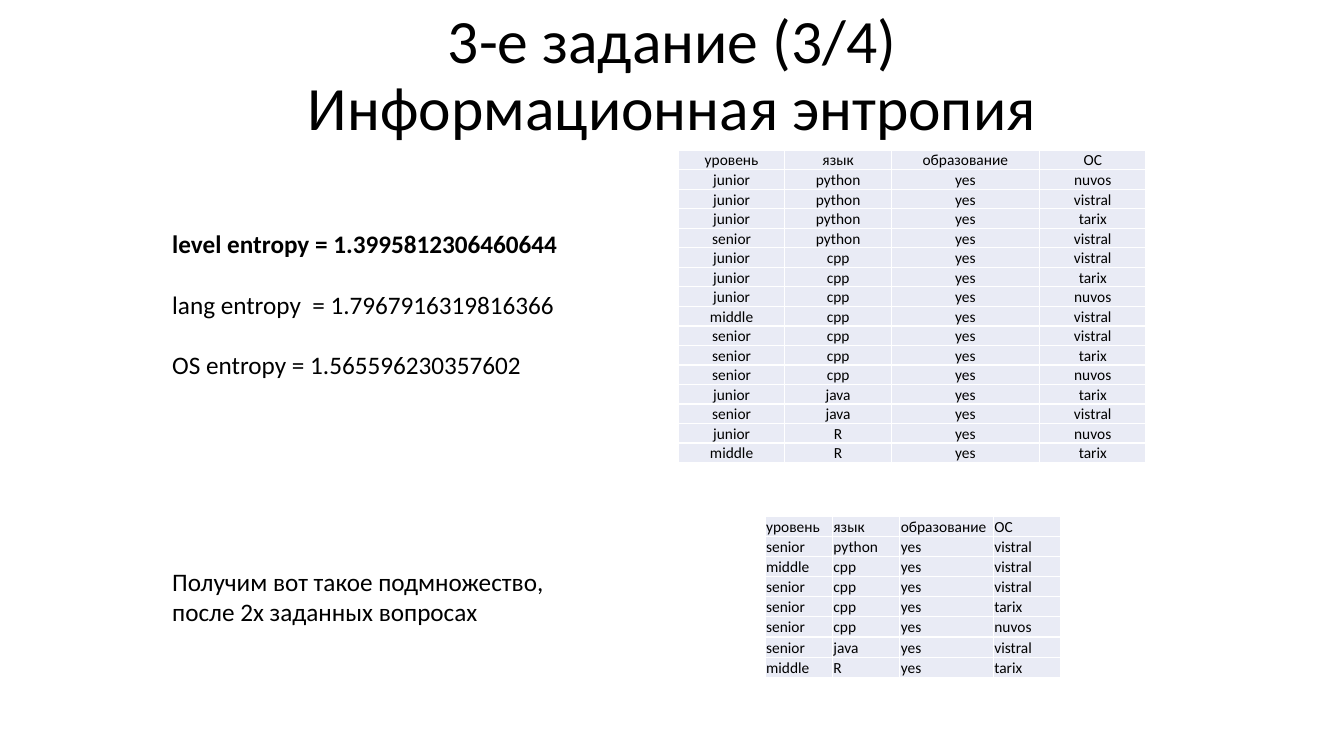
from dataclasses import dataclass

from lxml.etree import SubElement
from pptx import Presentation
from pptx.dml.color import RGBColor as RGB
from pptx.enum.text import MSO_ANCHOR as Anchor, MSO_AUTO_SIZE as Fit, PP_ALIGN as Align
from pptx.oxml.ns import qn
from pptx.slide import Slide
from pptx.table import _Cell as Cell
from pptx.util import Inches, Pt

WIDE, HIGH = Inches(13.33), Inches(7.5)
COLS, ROWS = 160, 90
FONT = "Calibri"
HEX = {"ink": "000000", "cell": "E9EBF5", "rule": "FFFFFF"}

HEAD = ("уровень", "язык", "образование", "ОС")
STAFF = [
    (level, lang, "yes", system)
    for level, lang, system in (
        ("junior", "python", "nuvos"),
        ("junior", "python", "vistral"),
        ("junior", "python", "tarix"),
        ("senior", "python", "vistral"),
        ("junior", "cpp", "vistral"),
        ("junior", "cpp", "tarix"),
        ("junior", "cpp", "nuvos"),
        ("middle", "cpp", "vistral"),
        ("senior", "cpp", "vistral"),
        ("senior", "cpp", "tarix"),
        ("senior", "cpp", "nuvos"),
        ("junior", "java", "tarix"),
        ("senior", "java", "vistral"),
        ("junior", "R", "nuvos"),
        ("middle", "R", "tarix"),
    )
]
SUBSET = [row for row in STAFF if row[0] != "junior"]


@dataclass
class Box:
    """Place on the slide in grid columns and rows."""
    col: float
    row: float
    wide: float
    high: float

    def place(self) -> tuple[int, int, int, int]:
        return across(self.col), down(self.row), across(self.wide), down(self.high)


@dataclass
class Note:
    box: Box
    lines: tuple[str, ...]
    size: int = 18
    align: Align = Align.LEFT
    anchor: Anchor = Anchor.TOP
    fit: Fit = Fit.SHAPE_TO_FIT_TEXT
    gap: float = 0
    pitch: float = 1.0
    strong: int | None = None


@dataclass
class Grid:
    box: Box
    widths: tuple[float, ...]
    rows: list[tuple[str, ...]]
    align: Align


NOTES = (
    Note(Box(11.04, 0.48, 138, 17.4), ("3-е задание (3/4)\vИнформационная энтропия",),
         size=44, align=Align.CENTER, anchor=Anchor.MIDDLE, fit=Fit.NONE, pitch=0.9),
    Note(Box(19.32, 26.64, 50.88, 19.44),
         ("level entropy = 1.3995812306460644",
          "lang entropy  = 1.7967916319816366",
          "OS entropy = 1.565596230357602"), gap=21.6, strong=0),
    Note(Box(19.32, 66.84, 51.72, 8.52),
         ("Получим вот такое подмножество, после 2х заданных вопросах",)),
)
GRIDS = (
    Grid(Box(80.76, 17.88, 55.68, 36.84), (12.68, 12.68, 17.64, 12.68),
         [HEAD, *STAFF], Align.CENTER),
    Grid(Box(91.08, 61.44, 35.2, 19.2), (8.02, 8.02, 11.14, 8.02),
         [HEAD, *SUBSET], Align.LEFT),
)


def across(cols: float) -> int:
    return round(WIDE * cols / COLS)


def down(rows: float) -> int:
    return round(HIGH * rows / ROWS)


def draw_note(slide: Slide, note: Note) -> None:
    frame = slide.shapes.add_textbox(*note.box.place()).text_frame
    frame.word_wrap = True
    frame.auto_size = note.fit
    frame.vertical_anchor = note.anchor
    for i, line in enumerate(note.lines):
        para = frame.add_paragraph() if i else frame.paragraphs[0]
        para.text = line
        para.alignment = note.align
        para.line_spacing = note.pitch
        para.space_before = Pt(note.gap if i else 0)
        para.font.name, para.font.size = FONT, Pt(note.size)
        para.font.bold = i == note.strong
        para.font.color.rgb = RGB.from_string(HEX["ink"])


def style_cell(cell: Cell, align: Align) -> None:
    cell.margin_left = cell.margin_right = cell.margin_top = Inches(0.01)
    cell.margin_bottom = 0
    cell.vertical_anchor = Anchor.BOTTOM
    props = cell._tc.get_or_add_tcPr()
    for side in ("lnL", "lnR", "lnT", "lnB"):
        line = SubElement(props, qn(f"a:{side}"), w=str(Pt(1)))
        fill = SubElement(line, qn("a:solidFill"))
        SubElement(fill, qn("a:srgbClr"), val=HEX["rule"])
    cell.fill.solid()
    cell.fill.fore_color.rgb = RGB.from_string(HEX["cell"])
    para = cell.text_frame.paragraphs[0]
    para.alignment = align
    para.font.name, para.font.size = FONT, Pt(11)
    para.font.color.rgb = RGB.from_string(HEX["ink"])


def draw_grid(slide: Slide, grid: Grid) -> None:
    shape = slide.shapes.add_table(len(grid.rows), len(grid.widths), *grid.box.place())
    table = shape.table
    table.first_row = table.horz_banding = False
    for col, wide in zip(table.columns, grid.widths):
        col.width = across(wide)
    for r, row in enumerate(grid.rows):
        for c, word in enumerate(row):
            cell = table.cell(r, c)
            cell.text = word
            style_cell(cell, grid.align)


def main() -> None:
    deck = Presentation()
    deck.slide_width, deck.slide_height = WIDE, HIGH
    slide = deck.slides.add_slide(deck.slide_layouts[6])
    for note in NOTES:
        draw_note(slide, note)
    for grid in GRIDS:
        draw_grid(slide, grid)
    deck.save("out.pptx")


if __name__ == "__main__":
    main()
